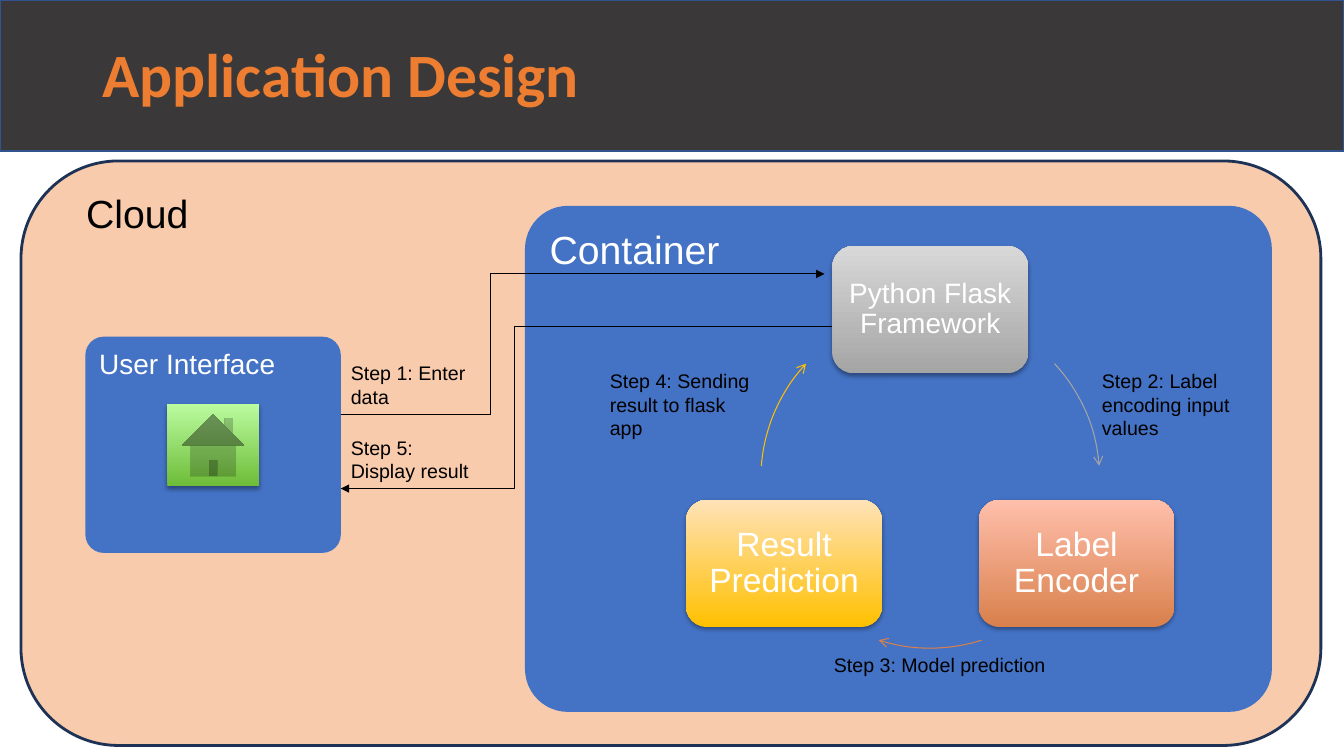
from dataclasses import dataclass

from lxml import etree
from pptx import Presentation
from pptx import util as u
from pptx.dml.color import RGBColor
from pptx.enum import shapes, text
from pptx.oxml import ns

Kind = shapes.MSO_SHAPE
Anchor = text.MSO_ANCHOR
Align = text.PP_ALIGN


@dataclass(frozen=True)
class Theme:
    title_font: str = "Calibri"
    body_font: str = "Arial"
    title_size: int = 44
    area_size: int = 28
    node_size: int = 24
    small_node_size: int = 20
    step_size: int = 14
    black: str = "000000"
    white: str = "FFFFFF"
    accent: str = "ED7D31"
    band: str = "3A3838"
    band_line: str = "31538F"
    cloud: str = "F8CBAD"
    cloud_line: str = "1E3256"
    blue: str = "4472C4"
    # Gradients run from the bottom colour to the top colour.
    grey: tuple = ("A5A5A5", "D8D8D8")
    orange: tuple = ("D9804C", "FFBFAB")
    yellow: tuple = ("FFC000", "FFE2B8")
    green: tuple = ("6DBC38", "BBFCA0")


THEME = Theme()


def rgb(value):
    return RGBColor.from_string(value)


def points(values):
    return [u.Pt(value) for value in values]


def add_element(parent, tag, **attributes):
    return etree.SubElement(parent, ns.qn(tag), attributes)


def write(shape, words, size, color=THEME.black, font=THEME.body_font, bold=False,
          align=Align.LEFT, anchor=Anchor.TOP, spacing=1.0, margins=(7.2, 3.6)):
    """Put one formatted paragraph in a shape; margins are (sides, top and bottom)."""
    frame = shape.text_frame
    frame.word_wrap = True
    frame.auto_size = text.MSO_AUTO_SIZE.NONE
    frame.vertical_anchor = anchor
    frame.margin_left = frame.margin_right = u.Pt(margins[0])
    frame.margin_top = frame.margin_bottom = u.Pt(margins[1])
    para = frame.paragraphs[0]
    para.alignment = align
    para.line_spacing = spacing
    span = para.add_run()
    span.text = words
    span.font.name = font
    span.font.size = u.Pt(size)
    span.font.bold = bold
    span.font.color.rgb = rgb(color)


def add_panel(page, kind, place, fill, line=None, width=1, corner=None):
    panel = page.shapes.add_shape(kind, *points(place))
    panel.shadow.inherit = False
    panel.fill.solid()
    panel.fill.fore_color.rgb = rgb(fill)
    if line:
        panel.line.color.rgb = rgb(line)
        panel.line.width = u.Pt(width)
    else:
        panel.line.fill.background()
    if corner is not None:
        panel.adjustments[0] = corner
    return panel


def add_raised(page, kind, place, gradient):
    """Add a shape with a vertical gradient and a soft shadow below it."""
    raised = add_panel(page, kind, place, gradient[0])
    raised.fill.gradient()
    raised.fill.gradient_angle = 90
    for stop, color in zip(raised.fill.gradient_stops, gradient):
        stop.color.rgb = rgb(color)
    effects = raised.element.spPr.find(ns.qn("a:effectLst"))
    shadow = add_element(effects, "a:outerShdw", blurRad=str(u.Pt(3.1)),
                         dist=str(u.Pt(1.8)), dir="5400000", rotWithShape="0")
    add_element(add_element(shadow, "a:srgbClr", val=THEME.black), "a:alpha", val="35000")
    return raised


def add_node(page, words, left, top, gradient, size, margin):
    node = add_raised(page, Kind.ROUNDED_RECTANGLE, (left, top, 140, 91), gradient)
    write(node, words, size, THEME.white, align=Align.CENTER, anchor=Anchor.MIDDLE,
          spacing=0.9, margins=(margin, margin))


def add_label(page, words, place, size=THEME.step_size):
    write(page.shapes.add_textbox(*points(place)), words, size)


def style_arrow(arrow, color, head):
    arrow.line.color.rgb = rgb(color)
    arrow.line.width = u.Pt(0.75)
    add_element(arrow.line._get_or_add_ln(), "a:tailEnd", type=head)


def add_cycle_arrow(page, start, end, color):
    """Draw part of the cycle circle, clockwise between two angles in degrees."""
    arc = page.shapes.add_shape(Kind.ARC, *points((543.5, 221, 242, 242)))
    arc.shadow.inherit = False
    arc.fill.background()
    for index, angle in enumerate((start, end)):
        arc.adjustments[index] = angle * 0.6  # 60000 units a degree, scaled by 100000
    style_arrow(arc, color, "arrow")


def add_elbow(page, start, end, bend):
    elbow = page.shapes.add_connector(shapes.MSO_CONNECTOR.ELBOW, *points(start + end))
    style_arrow(elbow, THEME.black, "triangle")
    properties = elbow.element.spPr
    add_element(properties, "a:effectLst")
    guides = properties.find(ns.qn("a:prstGeom")).get_or_add_avLst()
    add_element(guides, "a:gd", name="adj1", fmla=f"val {round(bend * 100000)}")


def add_title(page, words):
    band = add_panel(page, Kind.RECTANGLE, (0, 0, 960, 108), THEME.band, THEME.band_line)
    title = page.shapes.title
    title.left, title.top, title.width, title.height = points((66, 3.5, 828, 104.4))
    write(title, words, THEME.title_size, THEME.accent, THEME.title_font, bold=True,
          anchor=Anchor.MIDDLE, spacing=0.9)
    band.element.addnext(title.element)


def main():
    deck = Presentation()
    deck.slide_width, deck.slide_height = points((960, 540))
    page = deck.slides.add_slide(deck.slide_layouts[5])

    add_panel(page, Kind.ROUNDED_RECTANGLE, (15, 115, 928.5, 417.5), THEME.cloud,
              THEME.cloud_line, width=2)
    add_title(page, "Application Design")

    areas = [
        ("Container", (375, 147, 533.5, 361.5), THEME.area_size, 8.6),
        ("User Interface", (61, 240.5, 182.5, 154.5), THEME.small_node_size, 6),
    ]
    for words, place, size, margin in areas:
        area = add_panel(page, Kind.ROUNDED_RECTANGLE, place, THEME.blue, corner=0.085)
        write(area, words, size, THEME.white, spacing=0.9, margins=(margin, margin))
    add_raised(page, Kind.ACTION_BUTTON_HOME, (119.5, 288.5, 65.5, 59), THEME.green)
    add_label(page, "Cloud", (54.5, 132, 97, 41), THEME.area_size)

    add_elbow(page, (243.5, 296), (589, 195.7), 0.309)
    add_elbow(page, (595, 233), (243.5, 349), 0.648)

    add_node(page, "Python Flask Framework", 594.5, 175.7, THEME.grey,
             THEME.small_node_size, 6)
    add_node(page, "Label Encoder", 699, 357, THEME.orange, THEME.node_size, 7.2)
    add_node(page, "Result Prediction", 490, 357, THEME.yellow, THEME.node_size, 7.2)
    add_cycle_arrow(page, 317.2, 355.6, THEME.grey[0])
    add_cycle_arrow(page, 72.3, 107.7, THEME.orange[0])
    add_cycle_arrow(page, 184.4, 222.8, THEME.yellow[0])

    steps = [
        ("Step 1: Enter data", (243.5, 254.5, 105, 41)),
        ("Step 2: Label encoding input values", (780, 260, 109.5, 58)),
        ("Step 3: Model prediction", (588.5, 463, 167, 24.5)),
        ("Step 4: Sending result to flask app", (428.5, 260, 121.5, 58)),
        ("Step 5: Display result", (243.5, 307.5, 105, 41)),
    ]
    for words, place in steps:
        add_label(page, words, place)

    deck.save("out.pptx")


if __name__ == "__main__":
    main()
